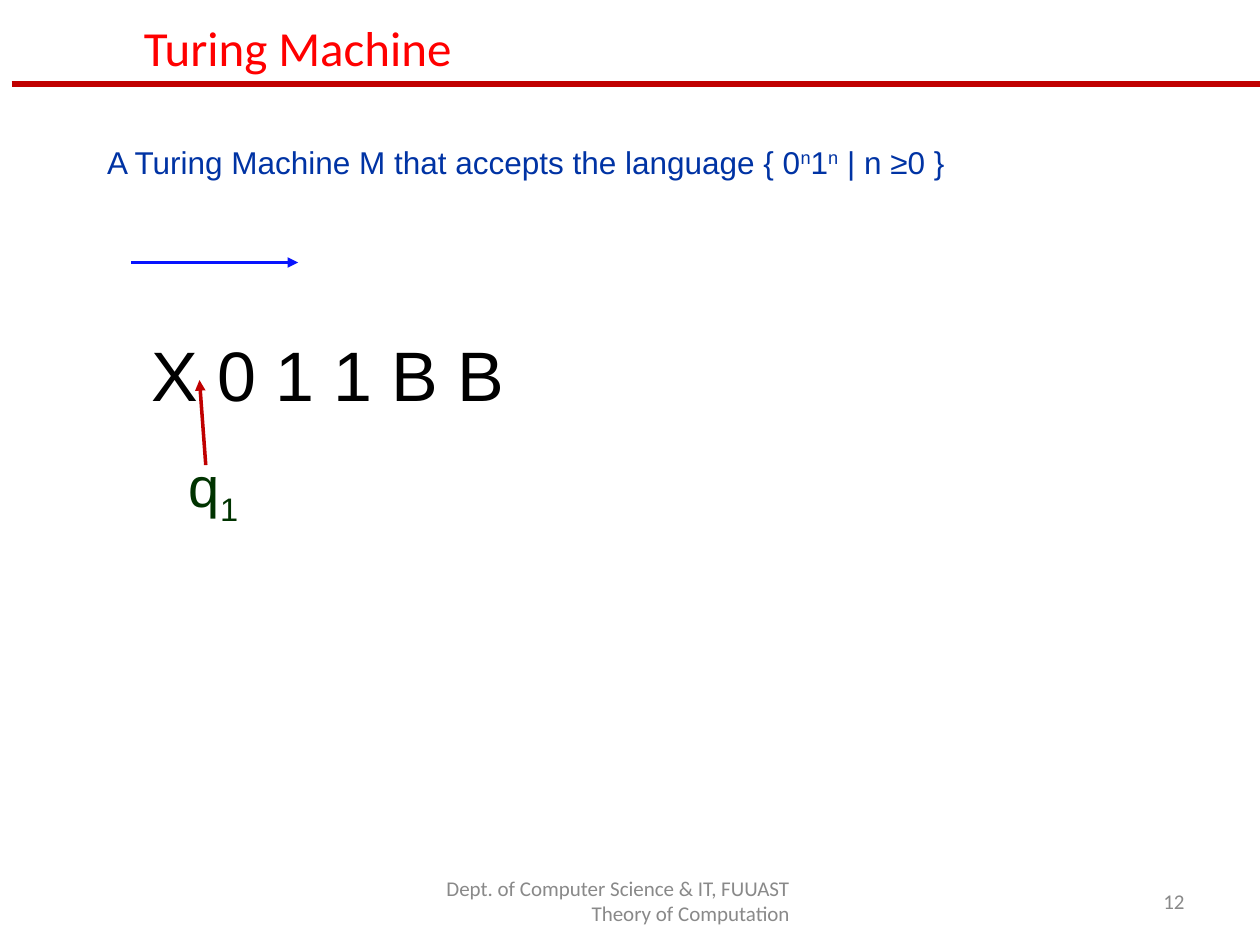
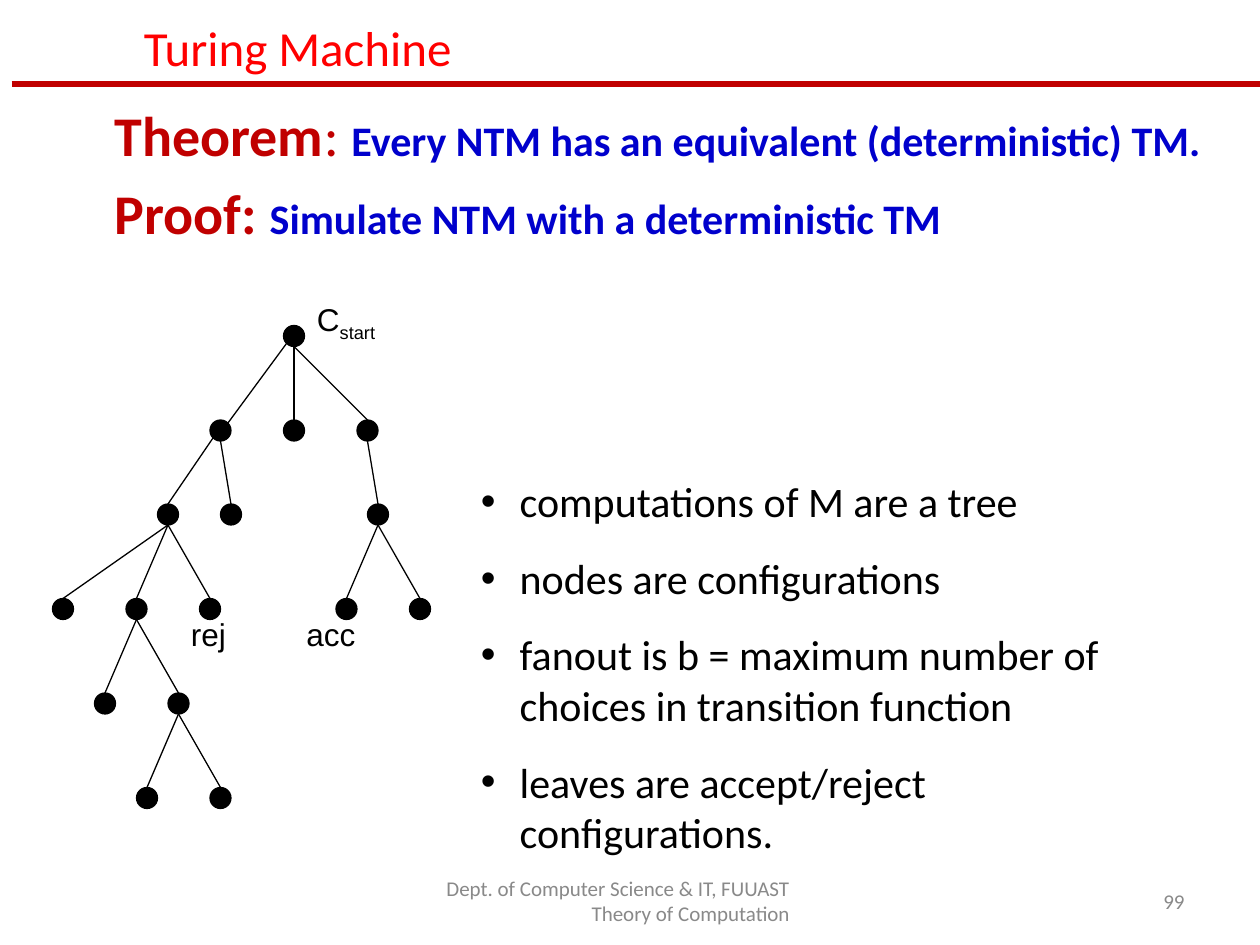
from lxml import etree
from pptx import Presentation
from pptx import util as u
from pptx.dml.color import RGBColor
from pptx.enum import shapes, text
from pptx.oxml.ns import qn

SCALE = 7620
HUES = {
    "title": "FF0000", "rule": "C00000", "foot": "898989", "ink": "000000",
    "claim": "0033A4", "state": "003300", "move": "0814FE", "fact": "0000CC",
}
FOOT = ["Dept. of Computer Science & IT, FUUAST", "Theory of Computation"]
LEFT, RIGHT = text.PP_ALIGN.LEFT, text.PP_ALIGN.RIGHT
TOP, MID = text.MSO_ANCHOR.TOP, text.MSO_ANCHOR.MIDDLE


def px(count):
    return u.Emu(count * SCALE)


class Deck:
    def __init__(self):
        self.file = Presentation()
        self.file.slide_width, self.file.slide_height = px(1200), px(900)
        self.slide = None

    def hue(self, name):
        return RGBColor.from_string(HUES[name])

    def start(self, layout, page):
        self.slide = self.file.slides.add_slide(self.file.slide_layouts[layout])
        self.hold(0, (125, 20, 824, 49), ["Turing Machine"], 28, "title", anchor=MID)
        self.line((11, 80), (1200, 80), "rule", 3.25)
        for spot, lines in (((400, 834, 364, 48), FOOT), ((860, 834, 280, 48), [page])):
            self.box(spot, lines, 12, "foot", font="Calibri", align=RIGHT, anchor=MID)

    def words(self, shape, lines, size, hue, font="Calibri", align=LEFT,
              anchor=TOP, gap=0, wrap=True, hang=0, plain=True):
        frame = shape.text_frame
        frame.auto_size = text.MSO_AUTO_SIZE.NONE
        frame.word_wrap = wrap
        frame.vertical_anchor = anchor
        for i, line in enumerate(lines):
            para = frame.add_paragraph() if i else frame.paragraphs[0]
            props = para._p.get_or_add_pPr()
            props.set("marL", str(px(hang)))
            props.set("indent", str(px(-hang)))
            if plain:
                etree.SubElement(props, qn("a:buNone"))
            para.alignment = align
            para.space_before = u.Pt(gap if i else 0)
            for part in [(line, {})] if isinstance(line, str) else line:
                self.piece(para, part[0], {"size": size, "hue": hue, "font": font, **part[1]})

    def piece(self, para, words, look):
        run = para.add_run()
        run.text = words
        run.font.name = look["font"]
        run.font.size = u.Pt(look["size"])
        run.font.color.rgb = self.hue(look["hue"])
        run.font.bold = look.get("bold", False)
        if "base" in look:
            run._r.get_or_add_rPr().set("baseline", str(look["base"] * 1000))

    def hold(self, index, spot, lines, size, hue, **style):
        shape = self.slide.placeholders[index]
        shape.left, shape.top, shape.width, shape.height = map(px, spot)
        self.words(shape, lines, size, hue, **style)

    def box(self, spot, lines, size, hue, font="Arial", **style):
        shape = self.slide.shapes.add_textbox(*map(px, spot))
        self.words(shape, lines, size, hue, font=font, **style)

    def line(self, start, end, hue, width, arrow=False):
        line = self.slide.shapes.add_connector(
            shapes.MSO_CONNECTOR.STRAIGHT, *map(px, start + end))
        line.line.color.rgb = self.hue(hue)
        line.line.width = u.Pt(width)
        props = line._element.spPr
        if arrow:
            etree.SubElement(props.find(qn("a:ln")), qn("a:tailEnd"), type="triangle")
        etree.SubElement(props, qn("a:effectLst"))

    def dot(self, x, y, radius):
        dot = self.slide.shapes.add_shape(
            shapes.MSO_SHAPE.OVAL,
            *map(px, (x - radius, y - radius, 2 * radius, 2 * radius)))
        dot.shadow.inherit = False
        dot.fill.solid()
        dot.fill.fore_color.rgb = dot.line.color.rgb = self.hue("ink")
        dot.line.width = u.Pt(0.75)

    def tree(self, nodes, rows, slant, radius=10):
        side = 7
        for i, (x, row, root) in enumerate(nodes):
            y = rows[row]
            if root is not None:
                top, level, _ = nodes[root]
                base = rows[level]
                start = (top - side, base + side) if i in slant else (top, base + radius)
                end = (x + side, y - side) if slant.get(i) else (x, y - radius)
                self.line(start, end, "ink", 0.75)
            self.dot(x, y, radius)


def tape(deck):
    deck.start(1, "12")
    power = ("n", {"base": 30})
    deck.hold(1, (90, 130, 1050, 48), [[
        ("A Turing Machine M that accepts the language { 0", {}), power,
        ("1", {}), power, (" | n ≥0 }", {})]], 18, "claim", font="Arial")
    deck.line((125, 250), (284, 250), "move", 2, arrow=True)
    deck.box((132, 310, 361, 92), ["X 0 1 1 B B"], 40, "ink", wrap=False)
    deck.box((168, 424, 71, 85), [[("q", {}), ("1", {"base": -25})]],
             32, "state", wrap=False)
    deck.line((196, 443), (190, 362), "rule", 2, arrow=True)


def proof(deck):
    deck.start(3, "99")
    head = {"bold": True}
    fact = {"bold": True, "size": 24, "hue": "fact"}
    deck.hold(1, (97, 90, 1073, 172), [
        [("Theorem", head), (": ", {}),
         ("Every NTM has an equivalent (deterministic) TM.", fact)],
        [("Proof: ", head), ("Simulate NTM with a deterministic TM", fact)],
    ], 32, "rule", gap=6, hang=46)
    deck.hold(2, (446, 447, 680, 380), [
        "computations of M are a tree",
        "nodes are configurations",
        "fanout is b = maximum number of choices in transition function",
        "leaves are accept/reject configurations.",
    ], 24, "ink", gap=15, hang=37, plain=False)
    nodes = [
        (280, 0, None),
        (210, 1, 0), (280, 1, 0), (350, 1, 0),
        (160, 2, 1), (220, 2, 1), (360, 2, 3),
        (60, 3, 4), (130, 3, 4), (200, 3, 4), (330, 3, 6), (400, 3, 6),
        (100, 4, 8), (170, 4, 8),
        (140, 5, 13), (210, 5, 13),
    ]
    deck.tree(nodes, (320, 410, 490, 580, 670, 760), {1: True, 4: False})
    deck.box((290, 280, 150, 53), [[("C", {}), ("start", {"base": -25})]], 18, "ink")
    for x, word in ((170, "rej"), (280, "acc")):
        deck.box((x, 580, 150, 48), [word], 18, "ink")


def main():
    deck = Deck()
    tape(deck)
    proof(deck)
    deck.file.save("out.pptx")


if __name__ == "__main__":
    main()
